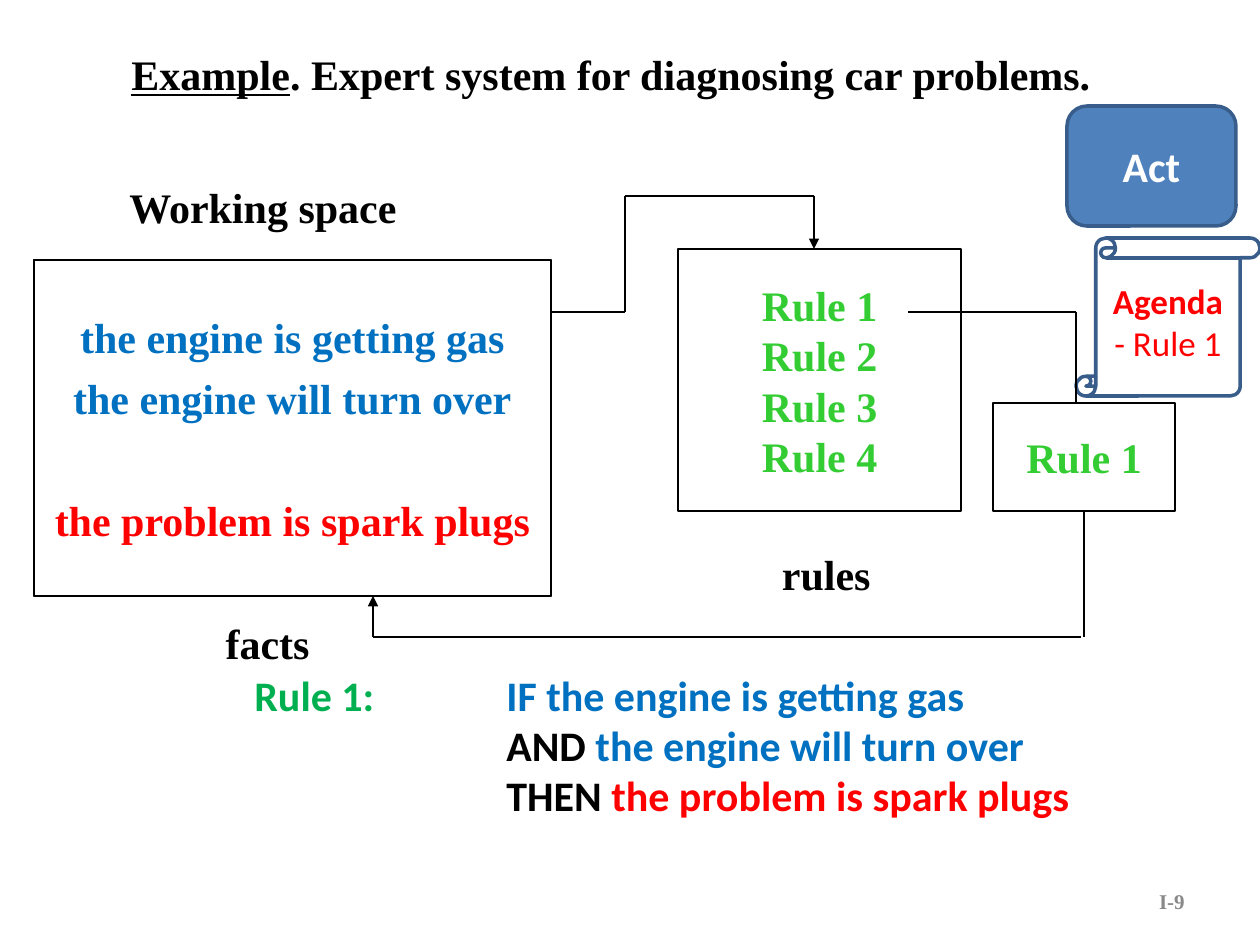
"""Builds a slide on an expert system that diagnoses car problems."""
from lxml import etree
from pptx import Presentation
from pptx import util as u
from pptx.dml.color import RGBColor
from pptx.enum import shapes, text
from pptx.oxml.ns import qn

PX = u.Inches(1) / 126
THEME = {
    "serif": "Times New Roman", "sans": "Calibri",
    "body": 24, "note": 20, "foot": 12,
    "black": "000000", "white": "FFFFFF", "grey": "898989",
    "blue": "0070C0", "red": "FF0000", "lime": "33CC33", "green": "00B050",
    "fill": "4F81BD", "edge": "385D8A",
}
KIND, ALIGN, ANCHOR, FIT = (shapes.MSO_SHAPE, text.PP_ALIGN,
                            text.MSO_ANCHOR, text.MSO_AUTO_SIZE)


def px(*nums):
    return [round(n * PX) for n in nums]


def write(shape, lines, face="serif", size="body", align=ALIGN.CENTER, after=0, **frame):
    """Fill a shape with lines, each a list of (words, colour, font extras)."""
    tf = shape.text_frame
    for key, val in {"word_wrap": False, "vertical_anchor": ANCHOR.MIDDLE, **frame}.items():
        setattr(tf, key, val)
    for i, runs in enumerate(lines):
        para = tf.add_paragraph() if i else tf.paragraphs[0]
        para.alignment, para.space_after = align, u.Pt(after)
        for words, tint, *more in runs:
            run = para.add_run()
            run.text = words
            run.font.color.rgb = RGBColor.from_string(THEME[tint])
            look = {"name": THEME[face], "size": u.Pt(THEME[size]), "bold": True}
            for key, val in {**look, **(more[0] if more else {})}.items():
                setattr(run.font, key, val)


deck = Presentation()
deck.slide_width, deck.slide_height = px(1260, 945)
slide = deck.slides.add_slide(deck.slide_layouts[5])

title = slide.shapes.title
title.left, title.top, title.width, title.height = px(116, 42, 987, 63)
write(title, [[("Example", "black", {"underline": True}),
               (". Expert system for diagnosing car problems.", "black")]],
      align=ALIGN.RIGHT, vertical_anchor=ANCHOR.TOP, auto_size=FIT.NONE)

boxes = {}
for name, kind, spot, fill, edge, wide in [
    ("facts", KIND.RECTANGLE, (34, 260, 517, 336), None, "black", 0.75),
    ("rules", KIND.RECTANGLE, (678, 249, 283, 262), None, "black", 0.75),
    ("result", KIND.RECTANGLE, (34, 260, 517, 336), None, "black", 0.75),
    ("act", KIND.FLOWCHART_ALTERNATE_PROCESS, (1067, 106, 169, 120), "fill", "edge", 2),
    ("fired", KIND.RECTANGLE, (993, 403, 182, 108), None, "black", 0.75),
    ("agenda", KIND.VERTICAL_SCROLL, (1076, 238, 184, 158), None, "edge", 2),
]:
    box = boxes[name] = slide.shapes.add_shape(kind, *px(*spot))
    box.shadow.inherit = False
    if fill:
        box.fill.solid()
        box.fill.fore_color.rgb = RGBColor.from_string(THEME[fill])
    else:
        box.fill.background()
    box.line.color.rgb = RGBColor.from_string(THEME[edge])
    box.line.width = u.Pt(wide)

ROW, PAD = 61, 6
write(boxes["facts"], [[("the engine is getting gas", "blue")],
                       [("the engine will turn over", "blue")]],
      after=6, margin_bottom=px(PAD + 2 * ROW)[0])
write(boxes["result"], [[("the problem is spark plugs", "red")]],
      after=6, margin_top=px(PAD + 3 * ROW)[0])
write(boxes["rules"], [[(f"Rule {n}", "lime")] for n in range(1, 5)])
write(boxes["fired"], [[("Rule 1", "lime")]])
write(boxes["act"], [[("Act", "white")]], face="sans", word_wrap=True)
write(boxes["agenda"], [[("Agenda", "red")], [("- Rule 1", "red", {"bold": False})]],
      face="sans", size="note", word_wrap=True)

for route, arrow in [
    ([(551, 312), (625, 312), (625, 196), (814, 196), (814, 249)], True),
    ([(908, 312), (1076, 312), (1076, 403)], False),
    ([(1084, 511), (1084, 637)], False),
    ([(1081, 637), (373, 637), (373, 596)], True),
]:
    for start, end in zip(route, route[1:]):
        wire = slide.shapes.add_connector(shapes.MSO_CONNECTOR.STRAIGHT, *px(*start, *end))
        wire.line.color.rgb = RGBColor.from_string(THEME["black"])
        wire.line.width = u.Pt(0.75)
        if start == (1084, 511):
            wire.begin_connect(boxes["fired"], 2)
        if arrow and end == route[-1]:
            etree.SubElement(wire.line._get_or_add_ln(), qn("a:tailEnd"), type="triangle")
        etree.SubElement(wire._element.spPr, qn("a:effectLst"))

for words, spot in [
    ("Working space", (106, 175, 303, 63)),
    ("facts", (202, 611, 120, 63)),
    ("rules", (759, 542, 124, 63)),
]:
    write(slide.shapes.add_textbox(*px(*spot)), [[(words, "black")]], align=ALIGN.RIGHT,
          vertical_anchor=ANCHOR.TOP, auto_size=FIT.SHAPE_TO_FIT_TEXT)

rule = slide.shapes.add_textbox(*px(242, 663, 840, 214))
write(rule,
      [[("Rule 1: \t", "green"), ("IF the engine is getting gas", "blue")],
       [("\t\tAND ", "black"), ("the engine will turn over", "blue")],
       [("\t\tTHEN ", "black"), ("the problem is spark plugs", "red")]],
      face="sans", align=ALIGN.LEFT, vertical_anchor=ANCHOR.TOP)
for para in rule.text_frame.paragraphs:
    tabs = etree.SubElement(para._p.get_or_add_pPr(), qn("a:tabLst"))
    for inch in (1, 2):
        etree.SubElement(tabs, qn("a:tab"), pos=str(u.Inches(inch)), algn="l")

write(slide.shapes.add_textbox(*px(903, 876, 294, 50)), [[("I-9", "grey")]],
      size="foot", align=ALIGN.RIGHT, word_wrap=True)

deck.save("out.pptx")
